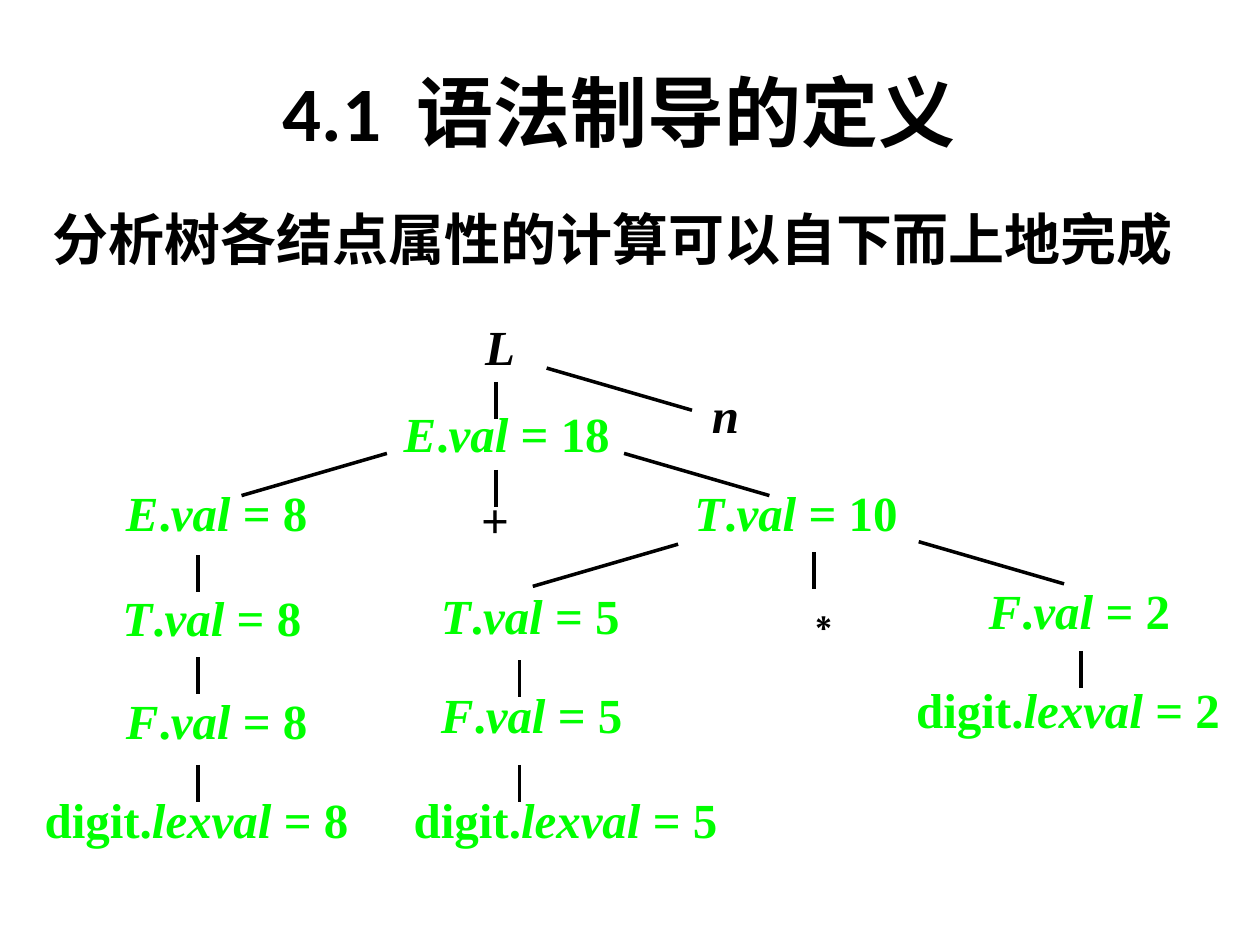
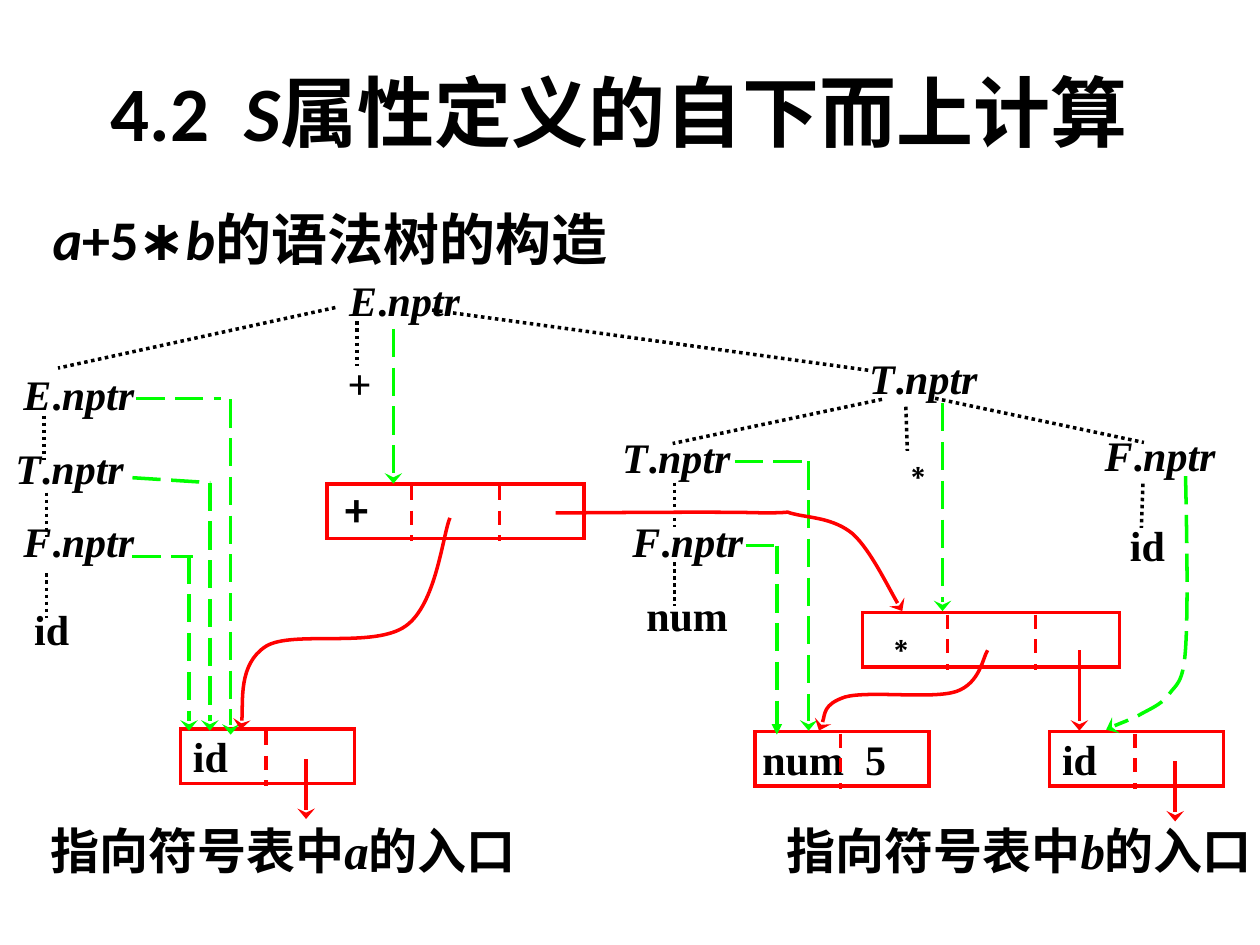
"""Build two slides: an attribute parse tree and the syntax tree of a+5∗b."""
from lxml.etree import SubElement
from pptx import Presentation
from pptx.dml.color import RGBColor
from pptx.enum.dml import MSO_LINE_DASH_STYLE as DASH
from pptx.enum.shapes import MSO_CONNECTOR, MSO_SHAPE
from pptx.enum.text import MSO_ANCHOR, MSO_AUTO_SIZE, PP_ALIGN
from pptx.oxml.ns import qn
from pptx.util import Cm, Pt

BLACK = RGBColor(0, 0, 0)
GREEN = RGBColor(0, 255, 0)
RED = RGBColor(255, 0, 0)
SERIF, SANS, CJK = "Times New Roman", "Calibri", "Noto Sans CJK SC"


def write(s, text, size, font=SERIF, color=BLACK, align=PP_ALIGN.LEFT,
          anchor=MSO_ANCHOR.TOP, margins=(0.05, 0.03, 0.05, 0.03)):
    """Fill a shape with bold text; parts between underscores are italic."""
    tf = s.text_frame
    tf.word_wrap = True
    tf.auto_size = MSO_AUTO_SIZE.NONE
    tf.vertical_anchor = anchor
    tf.margin_left, tf.margin_top, tf.margin_right, tf.margin_bottom = map(Cm, margins)
    p = tf.paragraphs[0]
    p.alignment = align
    for i, part in enumerate(text.split("_")):
        if part:
            r = p.add_run()
            r.text = part
            r.font.size, r.font.name = Pt(size), font
            r.font.bold, r.font.italic = True, i % 2 == 1
            r.font.color.rgb = color
            SubElement(r.font._element, qn("a:ea"), typeface=CJK)


def stroke(s, color, dash=None, tail=None):
    """Style an outline, with an optional dash and end arrowhead."""
    s.line.color.rgb = color
    s.line.width = Pt(2)
    if dash:
        s.line.dash_style = dash
    ln = s.line._get_or_add_ln()
    SubElement(ln, qn("a:miter"), lim="800000")
    if tail:
        SubElement(ln, qn("a:tailEnd"), type=tail, w="lg" if tail == "stealth" else "med")
    if s._element.spPr.find(qn("a:effectLst")) is None:
        SubElement(s._element.spPr, qn("a:effectLst"))


prs = Presentation()
prs.slide_width, prs.slide_height = Cm(25.4), Cm(19.05)

HEADINGS = [
    ("4.1  语法制导的定义", 1.69, 21.59, "分析树各结点属性的计算可以自下而上地完成", CJK),
    ("4.2  _S_属性定义的自下而上计算", 0.84, 23.29, "_a_+5∗_b_的语法树的构造", SANS),
]
slides = []
for title, x, w, lead, lead_font in HEADINGS:
    slide = prs.slides.add_slide(prs.slide_layouts[5])
    s = slide.shapes.title
    s.left, s.top, s.width, s.height = Cm(x), Cm(0.64), Cm(w), Cm(3.18)
    write(s, title, 44, SANS, align=PP_ALIGN.CENTER, anchor=MSO_ANCHOR.MIDDLE,
          margins=(0.25, 0.13, 0.25, 0.13))
    s = slide.shapes.add_textbox(Cm(0.8), Cm(3.99), Cm(23.8), Cm(14))
    write(s, lead, 32, lead_font, margins=(0.26, 0.13, 0.25, 0.13))
    slides.append(slide)
value_tree, syntax_tree = [slide.shapes for slide in slides]

VALUE_NODES = [
    ("_L_", 9.73, 6.35, 1.09), ("_n_", 14.3, 7.72, 1.09),
    ("+", 9.65, 9.83, 1.09), ("∗", 16.06, 11.79, 1.09),
    ("_E_._val _= 18", 8.09, 8.1, 4.29), ("_T_._val _= 10", 13.95, 9.7, 4.29),
    ("_E_._val _= 8", 2.49, 9.7, 4.01), ("_T_._val _= 8", 2.42, 11.81, 4.01),
    ("_F_._val _= 8", 2.49, 13.89, 4.01), ("digit._lexval _= 8", 0.85, 15.88, 6.6),
    ("_T_._val _= 5", 8.84, 11.77, 4.29), ("_F_._val _= 5", 8.84, 13.77, 4.29),
    ("digit._lexval _= 5", 8.29, 15.88, 6.6),
    ("_F_._val _= 2", 19.88, 11.67, 4.29), ("digit._lexval _= 2", 18.42, 13.66, 6.35),
]
for text, x, y, w in VALUE_NODES:
    s = value_tree.add_textbox(Cm(x), Cm(y), Cm(w), Cm(1.2))
    write(s, text, 28, color=GREEN if "=" in text else BLACK)

STEMS = [(10, 7.7), (10, 9.47), (3.99, 11.19), (3.99, 13.25), (3.99, 15.42),
         (16.41, 11.13), (10.47, 13.31), (10.47, 15.42), (21.79, 13.12)]
RIGHT_BRANCHES = [(11.02, 7.42), (12.58, 9.14), (18.52, 10.92)]
LEFT_BRANCHES = [(7.8, 9.14), (13.67, 10.97)]
for starts, dx, dy in [(STEMS, 0, 0.75), (RIGHT_BRANCHES, 2.93, 0.85), (LEFT_BRANCHES, -2.93, 0.85)]:
    for x, y in starts:
        s = value_tree.add_connector(MSO_CONNECTOR.STRAIGHT, Cm(x), Cm(y), Cm(x + dx), Cm(y + dy))
        stroke(s, BLACK)

POINTER_NODES = [
    ("_E_._nptr_", 6.99, 5.5, 2.54), ("_T_._nptr_", 17.47, 7.08, 2.44),
    ("_E_._nptr_", 0.42, 7.39, 2.44), ("_T_._nptr_", 0.26, 8.89, 2.69),
    ("_F_._nptr_", 0.42, 10.36, 2.54), ("id", 0.64, 12.14, 0.99),
    ("_T_._nptr_", 12.49, 8.66, 2.97), ("+", 6.96, 7.17, 0.71),
    ("∗", 18.05, 8.87, 0.71), ("_F_._nptr_", 12.7, 10.36, 2.54),
    ("_F_._nptr_", 22.22, 8.63, 2.54), ("id", 22.73, 10.44, 1.04),
    ("num", 12.98, 11.86, 1.85),
]
for text, x, y, w in POINTER_NODES:
    s = syntax_tree.add_textbox(Cm(x), Cm(y), Cm(w), Cm(0.95))
    write(s, text, 24)

RECORDS = [
    ("id", 3.64, 14.7, 3.51, 0.25, SERIF, [1.72]),
    ("id", 21.16, 14.75, 3.51, 0.25, SERIF, [1.72]),
    ("num  5", 15.22, 14.75, 3.51, 0.15, SERIF, [1.72]),
    ("∗", 17.39, 12.35, 5.18, 0.36, SERIF, [1.71, 3.48]),
    ("+", 6.59, 9.76, 5.18, 0.36, CJK, [1.71, 3.48]),
]
dividers = []
for text, x, y, w, inset, font, offsets in RECORDS:
    s = syntax_tree.add_shape(MSO_SHAPE.RECTANGLE, Cm(x), Cm(y), Cm(w), Cm(1.1))
    s.shadow.inherit = False
    s.fill.background()
    stroke(s, RED)
    write(s, text, 24, font, margins=(inset, 0.03, 0.05, 0.03))
    dividers += [(x + dx, y + 0.04, x + dx, y + 1.15) for dx in offsets]

TREE_EDGES = [
    (6.76, 6.2, 1.17, 7.42), (8.71, 6.25, 17.55, 7.47), (7.2, 6.48, 7.2, 7.37),
    (0.89, 8.38, 0.89, 9.27), (0.94, 9.93, 0.94, 10.82), (0.94, 11.56, 0.94, 12.45),
    (18.26, 8.2, 18.29, 9.09), (17.78, 8.05, 13.56, 8.94), (18.85, 8.03, 23.06, 8.92),
    (13.6, 9.73, 13.6, 10.62), (13.6, 11.33, 13.6, 12.22), (23.04, 9.75, 23.01, 10.64),
]
RECORD_ARROWS = [(6.17, 15.31, 6.17, 16.51), (23.69, 15.35, 23.69, 16.56), (21.76, 13.11, 21.76, 14.73)]
NPTR_STARTS = [
    (2.75, 8.03, 4.45, 8.03), (2.67, 9.63, 4.24, 9.73), (2.67, 11.22, 3.89, 11.22),
    (14.81, 9.3, 16.3, 9.3), (15.03, 11, 15.75, 11),
]
NPTR_ARROWS = [
    (7.93, 6.63, 7.93, 9.75), (4.65, 8.05, 4.65, 14.81), (16.3, 9.3, 16.3, 14.73),
    (19, 8.13, 19, 12.32), (3.81, 11.2, 3.81, 14.73), (4.23, 9.73, 4.23, 14.73),
]
LINE_SETS = [
    (TREE_EDGES, BLACK, DASH.ROUND_DOT, None),
    (dividers, RED, DASH.DASH, None),
    (RECORD_ARROWS, RED, None, "stealth"),
    (NPTR_STARTS, GREEN, DASH.LONG_DASH, None),
    (NPTR_ARROWS, GREEN, DASH.LONG_DASH, "stealth"),
    ([(15.66, 11, 15.66, 14.81)], GREEN, DASH.LONG_DASH, "triangle"),
]
for ends, color, dash, tail in LINE_SETS:
    for end in ends:
        s = syntax_tree.add_connector(MSO_CONNECTOR.STRAIGHT, *map(Cm, end))
        stroke(s, color, dash, tail)

CURVES = [
    (RED, None, [(9.07, 10.44), (8.92, 10.82), (8.79, 12.19), (8.18, 12.62), (7.54, 13.08),
                 (5.89, 12.7), (5.36, 13.03), (4.8, 13.39), (4.93, 14.43), (4.85, 14.71)]),
    (RED, None, [(11.2, 10.34), (11.91, 10.34), (14.58, 10.31), (15.37, 10.34), (16.18, 10.34),
                 (15.7, 10.29), (16, 10.36), (16.31, 10.44), (16.81, 10.44), (17.2, 10.77),
                 (17.55, 11.1), (17.98, 11.99), (18.19, 12.32)]),
    (RED, None, [(19.91, 13.11), (19.81, 13.26), (19.76, 13.77), (19.28, 13.94), (18.8, 14.1),
                 (17.53, 13.92), (17.04, 14.05), (16.59, 14.2), (16.61, 14.6), (16.51, 14.73)]),
    (GREEN, DASH.LONG_DASH, [(23.9, 9.6), (23.93, 10.97), (23.95, 12.34), (23.9, 13.08),
                             (23.85, 13.82), (23.7, 13.79), (23.55, 14.02), (23.39, 14.22),
                             (23.16, 14.3), (22.94, 14.43), (22.73, 14.53), (22.45, 14.63),
                             (22.3, 14.71)]),
]
for color, dash, points in CURVES:
    points = [(Cm(x), Cm(y)) for x, y in points]
    builder = syntax_tree.build_freeform(*points[0])
    builder.add_line_segments(points[3::3], close=False)
    s = builder.convert_to_shape()
    for i, segment in enumerate(list(s._element.iter(qn("a:lnTo")))):
        segment.tag = qn("a:cubicBezTo")
        segment.remove(segment[0])
        for x, y in points[3 * i + 1:3 * i + 4]:
            SubElement(segment, qn("a:pt"), x=str(x - s.left), y=str(y - s.top))
    s.shadow.inherit = False
    s.fill.background()
    stroke(s, color, dash, "stealth")

for name, x in [("a", 0.85), ("b", 15.69)]:
    s = syntax_tree.add_textbox(Cm(x), Cm(16.51), Cm(9.72), Cm(1.47))
    write(s, f"指向符号表中_{name}_的入口", 28, align=PP_ALIGN.CENTER)

prs.save("out.pptx")
